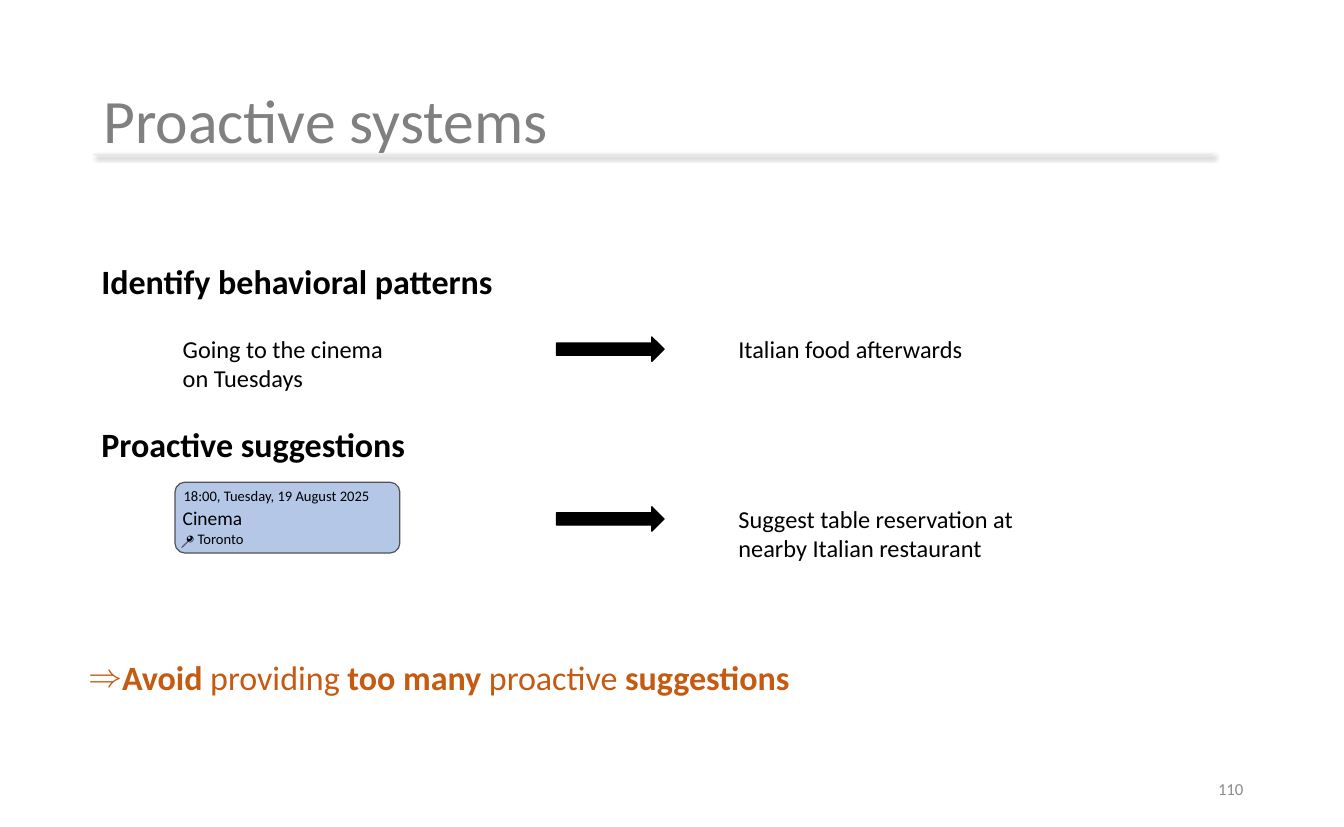
from lxml import etree
from pptx import Presentation
from pptx.dml.color import RGBColor
from pptx.enum.shapes import MSO_CONNECTOR, MSO_SHAPE
from pptx.enum.text import MSO_ANCHOR as ANCHOR, PP_ALIGN as ALIGN
from pptx.oxml import parse_xml
from pptx.oxml.ns import nsdecls, qn
from pptx.util import Inches, Pt

FONT = "Calibri"
BLACK, GREY, PALE = "000000", "808080", "E7E6E6"
BLUE, EDGE, ORANGE, NUMBER = "B4C7E7", "525252", "C55A11", "8C8C8C"

TITLE = "Proactive systems"
PAGE = "110"
LEFT, RIGHT = 1.06, 13.85
HEADINGS = [("Identify behavioral patterns", 2.93), ("Proactive suggestions", 4.79)]
BODY = [  # text, left, top, width, height
    ("Going to the cinema on Tuesdays", 1.99, 3.77, 2.7, 0.77),
    ("Italian food afterwards", 8.34, 3.77, 3.85, 0.44),
    ("Suggest table reservation at nearby Italian restaurant", 8.34, 5.71, 3.61, 0.77),
]
ARROW_TOPS = [3.85, 5.79]
CARD = (2, 5.51, 2.57, 0.81)
CARD_TEXTS = [  # text, size, left, top, width, height, anchor
    ("Cinema", 16, 1.99, 5.73, 2.83, 0.37, ANCHOR.TOP),
    ("18:00, Tuesday, 19 August 2025", 12, 2, 5.51, 2.57, 0.3, ANCHOR.BOTTOM),
    ("Toronto", 12, 2.16, 6.01, 1.61, 0.3, ANCHOR.TOP),
    ("📍", 12, 1.97, 6.03, 0.63, 0.3, ANCHOR.TOP),
]
ADVICE = [("Avoid ", True), ("providing", False), (" too many ", True),
          ("proactive", False), (" suggestions", True)]


def rgb(color):
    return RGBColor.from_string(color)


def add_text(s, runs, box, size, color=BLACK, anchor=ANCHOR.TOP, align=ALIGN.LEFT):
    """Add a one-paragraph text box; runs are (text, bold) pairs."""
    tf = s.shapes.add_textbox(*map(Inches, box)).text_frame
    tf.word_wrap = True
    tf.vertical_anchor = anchor
    p = tf.paragraphs[0]
    p.alignment = align
    for text, bold in runs:
        r = p.add_run()
        r.text = text
        r.font.name, r.font.size, r.font.bold = FONT, Pt(size), bold
        r.font.color.rgb = rgb(color)
    return tf


def add_shape(s, kind, box, fill, line):
    sp = s.shapes.add_shape(kind, *map(Inches, box))
    sp.shadow.inherit = False
    sp.fill.solid()
    sp.fill.fore_color.rgb = rgb(fill)
    sp.line.color.rgb = rgb(line)
    sp.line.width = Pt(1)
    return sp


def add_title_rule(s, y):
    rule = s.shapes.add_connector(MSO_CONNECTOR.STRAIGHT, Inches(LEFT), Inches(y),
                                  Inches(RIGHT), Inches(y))
    rule.line.color.rgb = rgb(PALE)
    rule.line.width = Pt(1)
    rule._element.spPr.append(parse_xml(
        f'<a:effectLst {nsdecls("a")}>'
        f'<a:outerShdw blurRad="{Pt(4)}" dist="{Pt(3)}" dir="2700000" algn="tl" rotWithShape="0">'
        f'<a:srgbClr val="{BLACK}"><a:alpha val="40000"/></a:srgbClr>'
        '</a:outerShdw></a:effectLst>'))


def add_bullet(p, char, indent):
    pPr = p._p.get_or_add_pPr()
    pPr.set("marL", str(Inches(indent)))
    pPr.set("indent", str(-Inches(indent)))
    etree.SubElement(pPr, qn("a:buFont"), typeface="Wingdings 3" if char == "" else "Cambria Math")
    etree.SubElement(pPr, qn("a:buChar"), char=char)


def main():
    prs = Presentation()
    prs.slide_width, prs.slide_height = Inches(15.36), Inches(9.45)
    s = prs.slides.add_slide(prs.slide_layouts[6])

    tf = add_text(s, [(TITLE, False)], (LEFT, 0.5, 13.24, 1.83), 50.7, GREY, ANCHOR.MIDDLE)
    tf.margin_left = tf.margin_right = Inches(0.12)
    tf.margin_top = tf.margin_bottom = Inches(0.06)
    tf.paragraphs[0].line_spacing = 0.9
    add_title_rule(s, 1.77)

    for text, top in HEADINGS:
        add_text(s, [(text, True)], (LEFT, top, 5.48, 0.57), 28)
    for text, *box in BODY:
        add_text(s, [(text, False)], box, 20)
    for top in ARROW_TOPS:
        add_shape(s, MSO_SHAPE.RIGHT_ARROW, (6.36, top, 1.23, 0.28), BLACK, BLACK)

    card = add_shape(s, MSO_SHAPE.ROUNDED_RECTANGLE, CARD, BLUE, EDGE)
    card.adjustments[0] = 0.14
    for text, size, *box, anchor in CARD_TEXTS:
        add_text(s, [(text, False)], box, size, anchor=anchor)

    tf = add_text(s, ADVICE, (0.91, 7.45, 13.08, 0.57), 28, ORANGE)
    add_bullet(tf.paragraphs[0], "⇒", 0.38)
    add_text(s, [(PAGE, False)], (10.85, 8.76, 3.46, 0.5), 13.8, NUMBER,
             ANCHOR.MIDDLE, ALIGN.RIGHT)
    prs.save("out.pptx")


if __name__ == "__main__":
    main()
